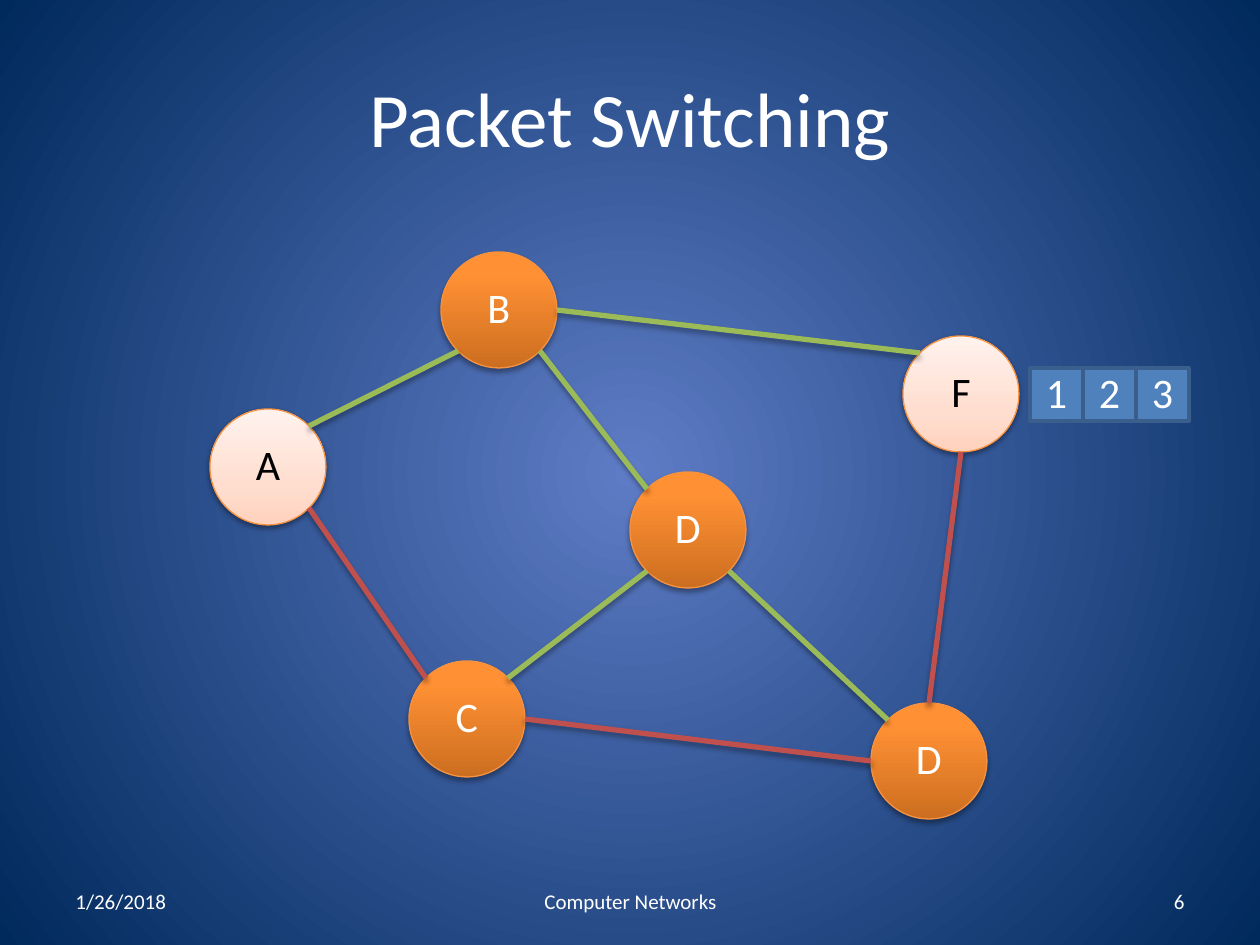
from math import cos, sin, radians
from lxml import etree
from pptx import Presentation
from pptx.dml.color import RGBColor as RGB
from pptx.enum.shapes import MSO_CONNECTOR as Link, MSO_SHAPE as Kind
from pptx.enum.text import MSO_ANCHOR as Anchor, PP_ALIGN as Align
from pptx.oxml import parse_xml
from pptx.oxml.ns import nsdecls, qn
from pptx.util import Pt

PX = 914400 / 126
HUES = {
    "white": "FFFFFF", "black": "000000", "rim": "F69240",
    "box": "4F81BD", "edge": "3A5F8C", "green": "9BBB59", "red": "C0504D",
}
HUE = {name: RGB.from_string(code) for name, code in HUES.items()}
BACK = {0: "5E7CC5", 100: "00295C"}
PALE = {0: "FFD2BD", 35: "FFDED0", 100: "FFF2ED"}
WARM = {0: "CC6E20", 80: "FF9034", 100: "FF9136"}
UP = '<a:lin ang="16200000" scaled="0"/>'
ROUND = ('<a:path path="circle"><a:fillToRect l="50000" t="50000" '
         'r="50000" b="50000"/></a:path>')

deck = Presentation()
deck.slide_width, deck.slide_height = round(1260 * PX), round(945 * PX)
slide = deck.slides.add_slide(deck.slide_layouts[6])
shapes = slide.shapes


def blend(props, stops, way):
    """Turn a solid fill into a gradient."""
    marks = "".join(f'<a:gs pos="{at * 1000}"><a:srgbClr val="{code}"/></a:gs>'
                    for at, code in stops.items())
    grad = parse_xml(f'<a:gradFill {nsdecls("a")} rotWithShape="1">'
                     f'<a:gsLst>{marks}</a:gsLst>{way}</a:gradFill>')
    props.replace(props.find(qn("a:solidFill")), grad)


def write(shape, text, size, hue, align):
    """Put one styled line of text into a shape."""
    frame = shape.text_frame
    frame.text = text
    frame.word_wrap = True
    frame.vertical_anchor = Anchor.MIDDLE
    para = frame.paragraphs[0]
    para.alignment = align
    font = para.runs[0].font
    font.name, font.size, font.color.rgb = "Calibri", Pt(size), HUE[hue]


# Background
slide.background.fill.solid()
blend(slide.element.find(".//" + qn("p:bgPr")), BACK, ROUND)

# Title and footer
for text, x, y, w, h, size, align in [
    ("Packet Switching", 63, 38, 1134, 157, 44, Align.CENTER),
    ("1/26/2018", 63, 876, 294, 50, 12, Align.LEFT),
    ("6", 903, 876, 294, 50, 12, Align.RIGHT),
    ("Computer Networks", 431, 876, 399, 50, 12, Align.CENTER),
]:
    box = shapes.add_textbox(*(round(v * PX) for v in (x, y, w, h)))
    write(box, text, size, "white", align)

# Nodes: name, label, centre
RAD = 58
nodes = {}
cast = []
for name, label, x, y in [
    ("a", "A", 268, 467), ("c", "C", 467, 719), ("b", "B", 499, 310),
    ("d", "D", 688, 530), ("f", "F", 961, 394), ("e", "D", 929, 761),
]:
    nodes[name] = x, y
    host = label in "AF"
    node = shapes.add_shape(Kind.OVAL, *(
        round(v * PX) for v in (x - RAD, y - RAD, 2 * RAD, 2 * RAD)))
    node.fill.solid()
    blend(node.element.spPr, PALE if host else WARM, UP)
    node.line.color.rgb, node.line.width = HUE["rim"], Pt(0.75)
    node.shadow.inherit = False
    write(node, label, 24, "black" if host else "white", Align.CENTER)
    node.text_frame.paragraphs[0].line_spacing = 0.93
    cast.append((node, 38 if host else 35, 1.6 if host else 1.8))

# Packets, last one at the back
for num in (3, 2, 1):
    pack = shapes.add_shape(Kind.RECTANGLE, *(
        round(v * PX) for v in (977 + 53 * num, 368, 53, 53)))
    pack.fill.solid()
    pack.fill.fore_color.rgb = HUE["box"]
    pack.line.color.rgb, pack.line.width = HUE["edge"], Pt(2)
    pack.shadow.inherit = False
    write(pack, str(num), 24, "white", Align.CENTER)
    pack.text_frame.paragraphs[0].line_spacing = 0.93

# Links: node and angle on its rim, clockwise from the right
for start, turn, end, back, hue in [
    ("a", 315, "b", 135, "green"), ("a", 45, "c", 225, "red"),
    ("d", 135, "c", 315, "green"), ("d", 225, "b", 45, "green"),
    ("f", 225, "b", 0, "green"), ("e", 225, "d", 45, "green"),
    ("e", 180, "c", 0, "red"), ("f", 90, "e", 270, "red"),
]:
    ends = []
    for name, deg in ((start, turn), (end, back)):
        x, y = nodes[name]
        ends += [x + RAD * cos(radians(deg)), y + RAD * sin(radians(deg))]
    link = shapes.add_connector(Link.STRAIGHT, *(round(v * PX) for v in ends))
    link.line.color.rgb, link.line.width = HUE[hue], Pt(3)
    etree.SubElement(link.element.spPr, qn("a:effectLst"))
    cast.append((link, 35, 1.8))

# Shadows under nodes and links
for shape, alpha, dist in cast:
    shape.element.spPr.find(qn("a:effectLst")).append(parse_xml(
        f'<a:outerShdw {nsdecls("a")} blurRad="{Pt(3.1)}" dist="{Pt(dist)}" '
        f'dir="5400000" rotWithShape="0"><a:srgbClr val="{HUES["black"]}">'
        f'<a:alpha val="{alpha * 1000}"/></a:srgbClr></a:outerShdw>'))

deck.save("out.pptx")
